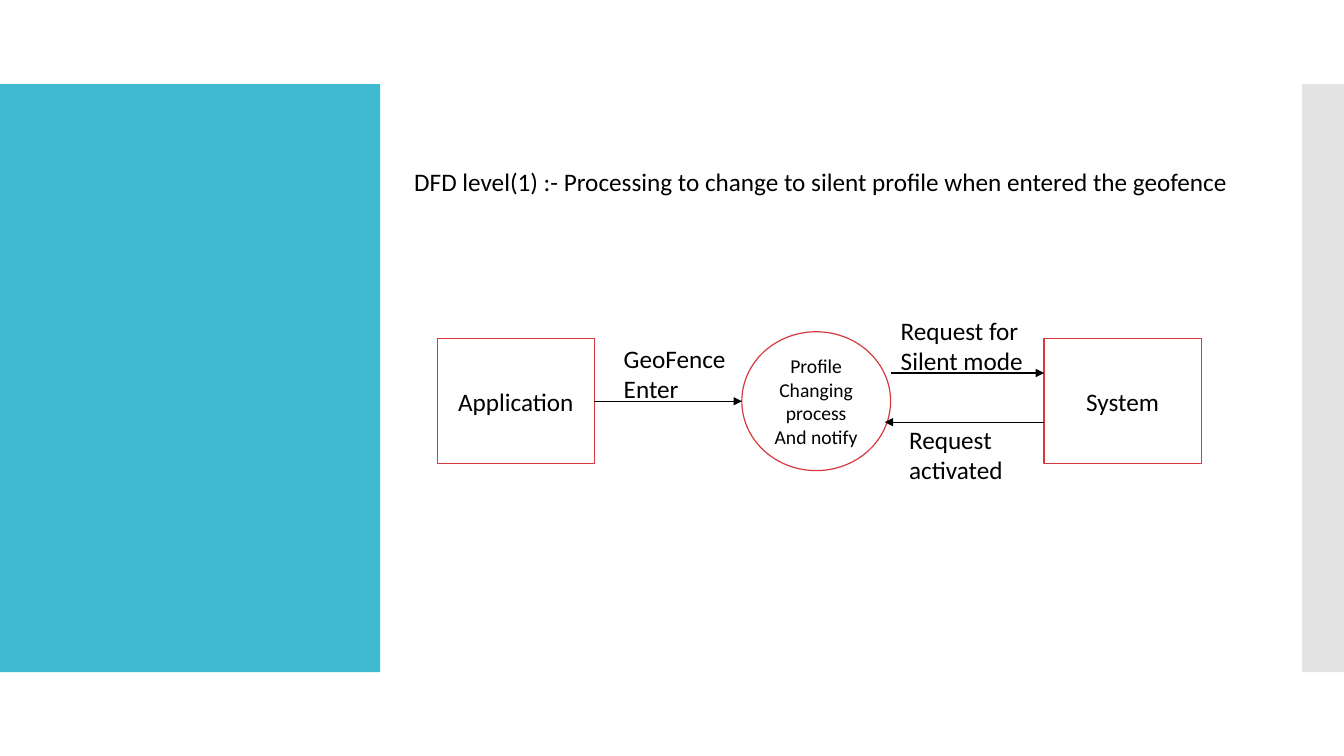
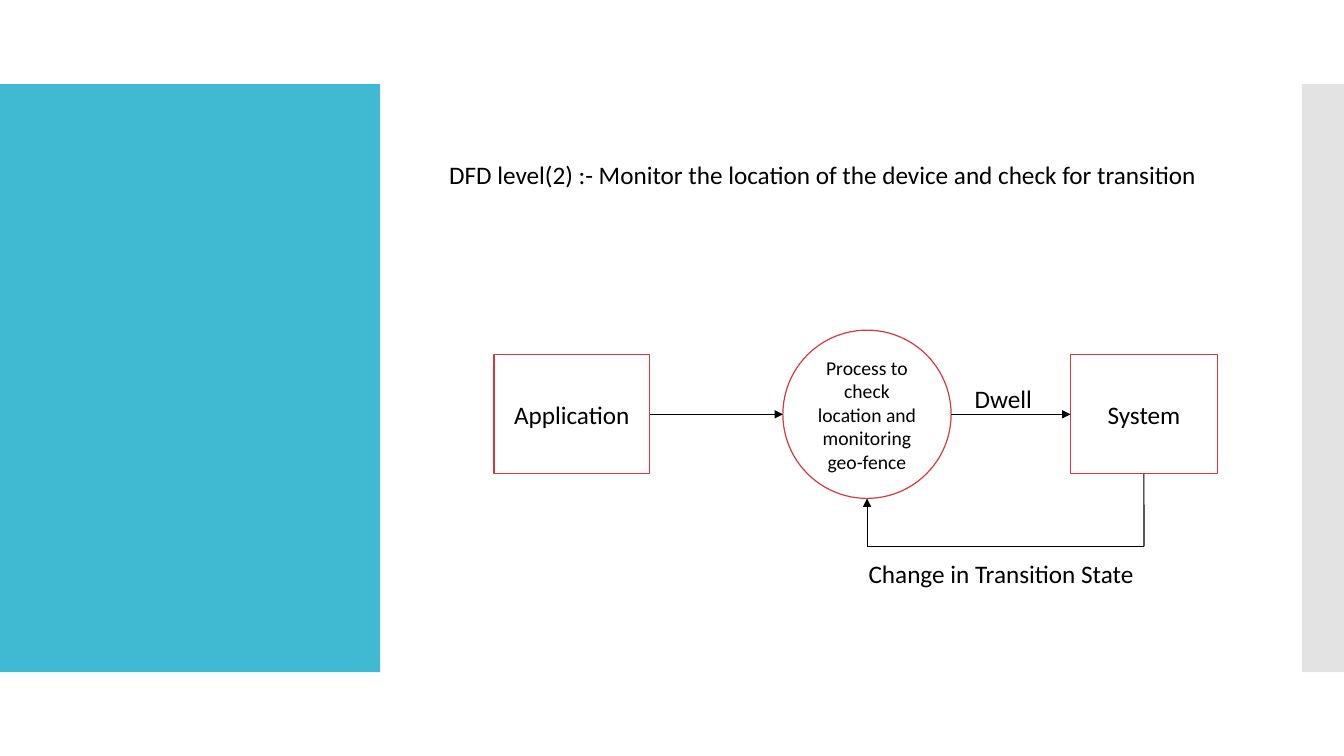
from itertools import pairwise

from lxml import etree
from pptx import Presentation
from pptx import util as u
from pptx.dml.color import RGBColor
from pptx.enum import shapes, text
from pptx.oxml import ns

HUES = {"band": "40BAD2", "edge": "E3E3E3", "rim": "D5393D", "ink": "000000", "page": "FFFFFF"}
WIDE, HIGH = 33.87, 19.05
TOP, TALL = 2.12, 14.82
LEFT, RIGHT = 9.58, 32.81
PANEL = (LEFT, TOP, RIGHT - LEFT, TALL)
KIND = shapes.MSO_SHAPE
SIDE = {"left": 1, "bottom": 2, "right": 3}


def hue(name):
    """Return the named colour."""
    return RGBColor.from_string(HUES[name])


def apply(item, style):
    """Set each attribute of an item from a dict."""
    for key, value in style.items():
        setattr(item, key, value)


def write(frame, words, size, align):
    """Write one paragraph into a text frame."""
    frame.word_wrap = True
    para = frame.paragraphs[0]
    para.alignment = align
    run = para.add_run()
    run.text = words
    apply(run.font, {"name": "Calibri", "size": u.Pt(size)})
    run.font.color.rgb = hue("ink")


def block(slide, kind, box, fill):
    """Add a flat filled shape without an outline."""
    shape = slide.shapes.add_shape(kind, *map(u.Cm, box))
    shape.shadow.inherit = False
    shape.fill.solid()
    shape.fill.fore_color.rgb = hue(fill)
    shape.line.fill.background()
    return shape


def node(slide, kind, mid, dims, words, size=18):
    """Add an outlined node around its centre."""
    (x, y), (w, h) = mid, dims
    shape = block(slide, kind, (x - w / 2, y - h / 2, w, h), "page")
    shape.line.color.rgb = hue("rim")
    shape.line.width = u.Pt(0.85)
    write(shape.text_frame, words, size, text.PP_ALIGN.CENTER)
    return shape


def label(slide, box, place, words):
    """Add a text line at a place inside the box."""
    x, y, w, h = place
    spot = (box[0] + x, box[1] + y, w, h)
    frame = slide.shapes.add_textbox(*map(u.Cm, spot)).text_frame
    write(frame, words, 18, text.PP_ALIGN.LEFT)


def link(slide, start, end, head=True, tie=None, join=None):
    """Draw a line, tied to nodes at its start or end if given."""
    line = slide.shapes.add_connector(
        shapes.MSO_CONNECTOR.STRAIGHT, *map(u.Cm, (*start, *end)))
    line.line.color.rgb = hue("ink")
    line.line.width = u.Pt(0.75)
    if tie:
        line.begin_connect(*tie)
    if join:
        line.end_connect(*join)
    if head:
        etree.SubElement(line.line._get_or_add_ln(), ns.qn("a:tailEnd"), type="triangle")
    etree.SubElement(line._element.spPr, ns.qn("a:effectLst"))


def bands(slide):
    """Draw the side bands."""
    block(slide, KIND.RECTANGLE, (0, TOP, LEFT, TALL), "band")
    block(slide, KIND.RECTANGLE, (RIGHT, TOP, WIDE - RIGHT, TALL), "edge")


def enter(slide, box):
    """Draw the level 1 flow in the box."""
    x, y = box[0], box[1] + 7.99
    dims, disc = (3.96, 3.15), (3.75, 3.5)
    app, hub, sys = x + 3.42, x + 10.99, x + 18.71
    source = node(slide, KIND.FLOWCHART_PROCESS, (app, y), dims, "Application")
    node(slide, KIND.FLOWCHART_PROCESS, (sys, y), dims, "System")
    node(slide, KIND.FLOWCHART_CONNECTOR, (hub, y), disc,
         "Profile Changing process And notify", 14)
    rim, wall = hub + disc[0] / 2, sys - dims[0] / 2
    link(slide, (app + dims[0] / 2, y), (hub - disc[0] / 2, y), tie=(source, SIDE["right"]))
    link(slide, (rim, y - 0.71), (wall, y - 0.71))
    link(slide, (wall, y + 0.53), (rim - 0.15, y + 0.53))
    for place, words in (
        ((5.89, 6.41, 3.25, 1.8), "GeoFence Enter"),
        ((12.87, 5.7, 3.86, 1.8), "Request for Silent mode"),
        ((13.08, 8.45, 3.35, 1.8), "Request activated"),
        ((0.61, 1.94, 22.35, 1.02),
         "DFD level(1) :- Processing to change to silent profile when entered the geofence"),
    ):
        label(slide, box, place, words)


def dwell(slide, box):
    """Draw the level 2 flow in the box."""
    x, y = box[0], box[1] + 8.32
    wide, slim, disc = (3.92, 3), (3.7, 3), (4.24, 4.24)
    app, hub, sys = x + 4.83, x + 12.27, x + 19.25
    source = node(slide, KIND.RECTANGLE, (app, y), wide, "Application")
    node(slide, KIND.OVAL, (hub, y), disc,
         "Process to check location and monitoring geo-fence", 14)
    sink = node(slide, KIND.RECTANGLE, (sys, y), slim, "System")
    half = disc[0] / 2
    link(slide, (app + wide[0] / 2, y), (hub - half, y), tie=(source, SIDE["right"]))
    link(slide, (hub + half, y), (sys - slim[0] / 2, y), join=(sink, SIDE["left"]))
    low = y + 3.33
    turns = [(sys, y + slim[1] / 2), (sys, low), (hub, low), (hub, y + half)]
    for step, (start, end) in enumerate(pairwise(turns)):
        tie = None if step else (sink, SIDE["bottom"])
        link(slide, start, end, head=end == turns[-1], tie=tie)
    for place, words in (
        ((14.73, 7.41, 2.67, 1.02), "Dwell"),
        ((12.06, 11.82, 7.49, 1.02), "Change in Transition State"),
        ((1.49, 1.77, 19.96, 1.02),
         "DFD level(2) :- Monitor the location of the device and check for transition"),
    ):
        label(slide, box, place, words)


def main():
    """Build and save the deck."""
    deck = Presentation()
    apply(deck, {"slide_width": u.Cm(WIDE), "slide_height": u.Cm(HIGH)})
    for draw in (enter, dwell):
        slide = deck.slides.add_slide(deck.slide_layouts[6])
        bands(slide)
        draw(slide, PANEL)
    deck.save("out.pptx")


if __name__ == "__main__":
    main()
